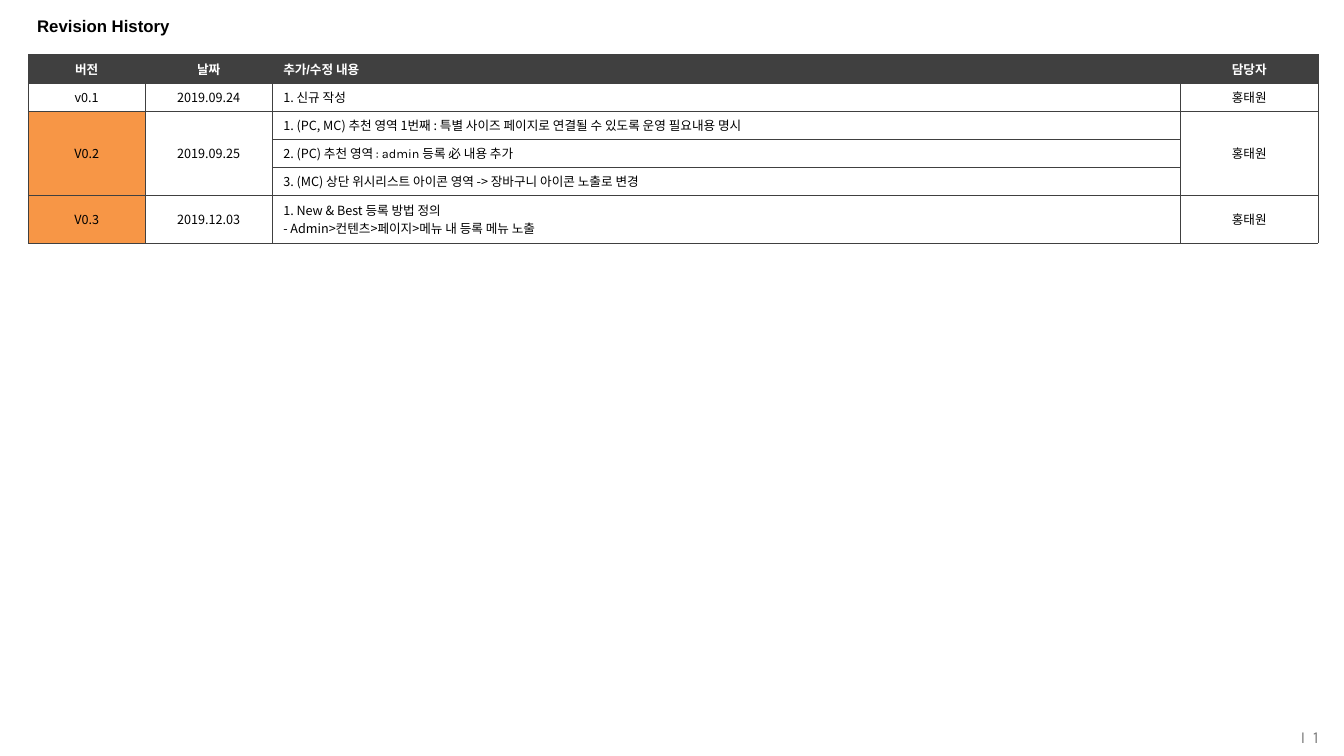
from lxml import etree
from pptx import Presentation
from pptx.dml.color import RGBColor
from pptx.enum.text import MSO_ANCHOR, PP_ALIGN
from pptx.oxml.ns import qn
from pptx.util import Inches, Pt

LEFT, CENTER, RIGHT = PP_ALIGN.LEFT, PP_ALIGN.CENTER, PP_ALIGN.RIGHT
MIDDLE = MSO_ANCHOR.MIDDLE
SANS, ARIAL, KARLA = "Noto Sans CJK KR", "Arial", "Karla"
BLACK, WHITE, DARK, GRAY, ORANGE = "000000", "FFFFFF", "404040", "808080", "F79646"

TITLE = "Revision History"
PAGE = "I  1"
HEADER = ["버전", "날짜", "추가/수정 내용", "담당자"]
REVISIONS = [
    ("v0.1", "2019.09.24", ["1. 신규 작성"], "홍태원", WHITE),
    ("V0.2", "2019.09.25", [
        "1. (PC, MC) 추천 영역 1번째 : 특별 사이즈 페이지로 연결될 수 있도록 운영 필요내용 명시",
        [("2. (PC) ", SANS), ("추천 영역 : admin 등록 必 내용 추가", KARLA)],
        "3. (MC) 상단 위시리스트 아이콘 영역 -> 장바구니 아이콘 노출로 변경",
    ], "홍태원", ORANGE),
    ("V0.3", "2019.12.03", [
        "1. New & Best 등록 방법 정의\n- Admin>컨텐츠>페이지>메뉴 내 등록 메뉴 노출",
    ], "홍태원", ORANGE),
]
COL_WIDTHS = [1.16, 1.26, 9.01, 1.36]
ROW_HEIGHTS = [0.28] * 5 + [0.47]
NOTE_COL = 2


def rgb(value):
    return RGBColor.from_string(value)


def format_run(r, font, size, color, bold):
    r.font.name, r.font.size, r.font.bold = font, Pt(size), bold
    r.font.color.rgb = rgb(color)
    ea = etree.Element(qn("a:ea"), typeface=SANS)
    r.font._element.find(qn("a:latin")).addnext(ea)


def write(tf, content, font, size, color, bold=False, align=LEFT):
    if isinstance(content, str):
        tf.text = content
        fonts = [font]
    else:
        fonts = [name for _, name in content]
        for text, _ in content:
            tf.paragraphs[0].add_run().text = text
    for p in tf.paragraphs:
        p.alignment = align
        for r, name in zip(p.runs, fonts):
            format_run(r, name, size, color, bold)


def add_label(s, box, text, margin, **style):
    tf = s.shapes.add_textbox(*[Inches(v) for v in box]).text_frame
    tf.word_wrap = True
    tf.vertical_anchor = MIDDLE
    tf.margin_left = tf.margin_right = Inches(margin)
    tf.margin_top = tf.margin_bottom = 0
    write(tf, text, **style)


def style_cell(cell, fill):
    cell.vertical_anchor = MIDDLE
    cell.margin_left = cell.margin_right = Inches(0.11)
    tc_pr = cell._tc.get_or_add_tcPr()
    for side in ("lnL", "lnR", "lnT", "lnB"):
        ln = etree.SubElement(tc_pr, qn("a:" + side), w=str(Pt(0.25)))
        solid = etree.SubElement(ln, qn("a:solidFill"))
        etree.SubElement(solid, qn("a:srgbClr"), val=DARK)
    cell.fill.solid()
    cell.fill.fore_color.rgb = rgb(fill)


def fill_table(table):
    for column, width in zip(table.columns, COL_WIDTHS):
        column.width = Inches(width)
    for row, height in zip(table.rows, ROW_HEIGHTS):
        row.height = Inches(height)
    for col, text in enumerate(HEADER):
        cell = table.cell(0, col)
        style_cell(cell, DARK)
        write(cell.text_frame, text, ARIAL, 9, WHITE, True,
              LEFT if col == NOTE_COL else CENTER)
    top = 1
    for version, date, notes, author, color in REVISIONS:
        last = top + len(notes) - 1
        for row in range(top, last + 1):
            for col in range(len(HEADER)):
                style_cell(table.cell(row, col), color if col == 0 else WHITE)
        for col, text in ((0, version), (1, date), (3, author)):
            cell = table.cell(top, col)
            if last > top:
                cell.merge(table.cell(last, col))
            write(cell.text_frame, text, SANS, 9, BLACK, align=CENTER)
        for row, note in enumerate(notes, top):
            write(table.cell(row, NOTE_COL).text_frame, note, SANS, 9, BLACK)
        top = last + 1


def main():
    prs = Presentation()
    prs.slide_width, prs.slide_height = Inches(13.33), Inches(7.5)
    s = prs.slides.add_slide(prs.slide_layouts[6])
    add_label(s, (11.15, 7.11, 1.93, 0.39), PAGE, 0,
              font=KARLA, size=12, color=GRAY, align=RIGHT)
    frame = s.shapes.add_table(
        len(ROW_HEIGHTS), len(COL_WIDTHS), Inches(0.28), Inches(0.54),
        Inches(sum(COL_WIDTHS)), Inches(sum(ROW_HEIGHTS)))
    frame.table.first_row = frame.table.horz_banding = False
    fill_table(frame.table)
    add_label(s, (0.27, 0.07, 12.79, 0.38), TITLE, 0.1,
              font=ARIAL, size=12, color=BLACK, bold=True)
    prs.save("out.pptx")


if __name__ == "__main__":
    main()
